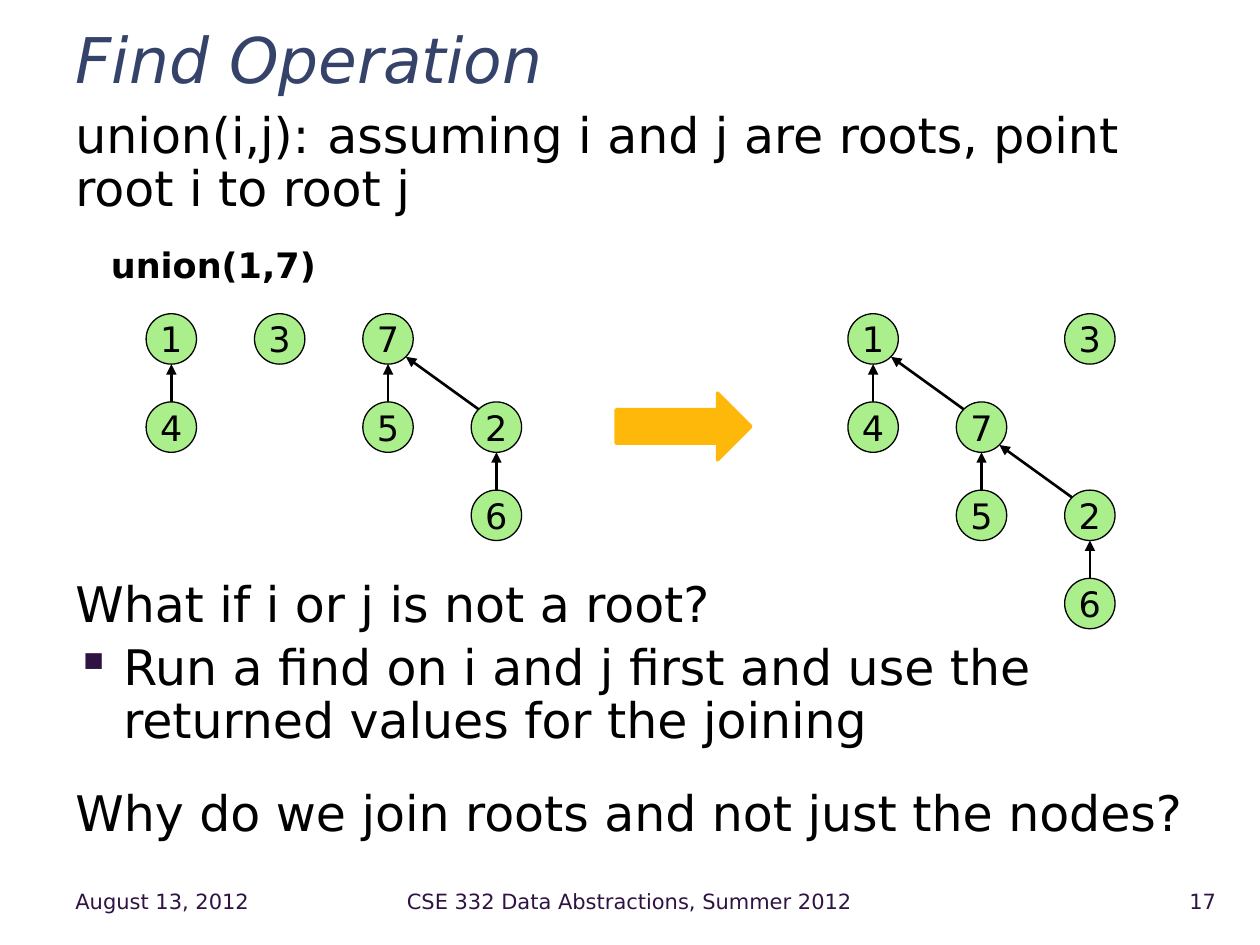
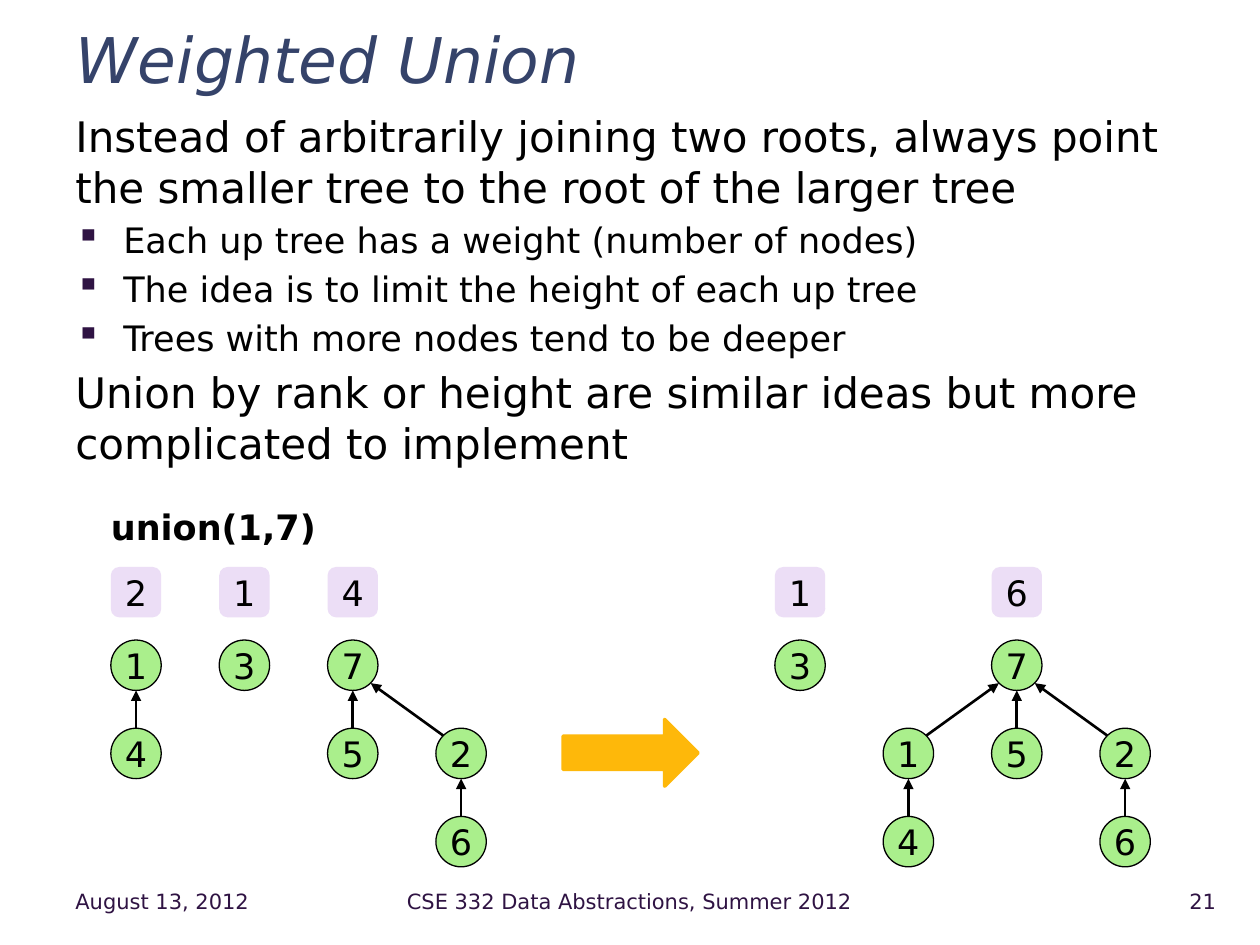
from lxml import etree
from pptx import Presentation
from pptx.dml.color import RGBColor
from pptx.enum.shapes import MSO_CONNECTOR, MSO_SHAPE
from pptx.enum.text import MSO_ANCHOR, MSO_AUTO_SIZE, PP_ALIGN
from pptx.oxml.ns import qn
from pptx.util import Inches, Pt

LEFT, CENTER, RIGHT = PP_ALIGN.LEFT, PP_ALIGN.CENTER, PP_ALIGN.RIGHT
TOP, MIDDLE = MSO_ANCHOR.TOP, MSO_ANCHOR.MIDDLE
OVAL, ROUNDED, ARROW = MSO_SHAPE.OVAL, MSO_SHAPE.ROUNDED_RECTANGLE, MSO_SHAPE.RIGHT_ARROW

FONT = "DejaVu Sans"
BLACK = RGBColor(0x00, 0x00, 0x00)
NAVY = RGBColor(0x35, 0x43, 0x6A)
PLUM = RGBColor(0x2F, 0x13, 0x43)
GREEN = RGBColor(0xAA, 0xEF, 0x8C)
LILAC = RGBColor(0xEC, 0xDE, 0xF6)
AMBER = RGBColor(0xFE, 0xB8, 0x0A)

# Content: body lines are (text, size, bulleted, space before)
# Forest nodes map a label to (column, row, parent); weights map a column to a count
DATE = "August 13, 2012"
COURSE = "CSE 332 Data Abstractions, Summer 2012"
CALL = "union(1,7)"
BEFORE = {"1": (0, 0, None), "4": (0, 1, "1"), "3": (1, 0, None), "7": (2, 0, None),
          "5": (2, 1, "7"), "2": (3, 1, "7"), "6": (3, 2, "2")}
SLIDES = [
    {
        "title": "Find Operation", "number": "17", "body_height": 6, "line_spacing": 0.9,
        "body": [
            ("union(i,j):\tassuming i and j are roots, point root i to root j", 28, False, 0),
            ("What if i or j is not a root?", 28, False, 208),
            ("Run a find on i and j first and use the returned values for the joining",
             28, True, 5.6),
            ("Why do we join roots and not just the nodes?", 28, False, 23),
        ],
        "call_top": 1.93, "roots_top": 2.49, "arrow_left": 4.89,
        "forests": [
            (1.16, BEFORE, {}),
            (6.73, {"1": (0, 0, None), "4": (0, 1, "1"), "3": (2, 0, None),
                    "7": (1, 1, "1"), "5": (1, 2, "7"), "2": (2, 2, "7"),
                    "6": (2, 3, "2")}, {}),
        ],
    },
    {
        "title": "Weighted Union", "number": "21", "body_height": 3.23, "line_spacing": 1.0,
        "body": [
            ("Instead of arbitrarily joining two roots, always point the smaller tree "
             "to the root of the larger tree", 24, False, 0),
            ("Each up tree has a weight (number of nodes)", 20, True, 4),
            ("The idea is to limit the height of each up tree", 20, True, 4),
            ("Trees with more nodes tend to be deeper", 20, True, 4),
            ("Union by rank or height are similar ideas but more complicated to implement",
             24, False, 4.8),
        ],
        "call_top": 4.01, "roots_top": 5.08, "arrow_left": 4.47,
        "forests": [
            (0.88, BEFORE, {0: "2", 1: "1", 2: "4"}),
            (6.15, {"3": (0, 0, None), "7": (2, 0, None), "1": (1, 1, "7"),
                    "4": (1, 2, "1"), "5": (2, 1, "7"), "2": (3, 1, "7"),
                    "6": (3, 2, "2")}, {0: "1", 2: "6"}),
        ],
    },
]

# Shared layout, in inches
NODE, COLUMN_STEP, ROW_STEP = 0.4, 0.86, 0.7
WEIGHT_RISE, ARROW_DROP = 0.58, 0.63
BODY_LEFT, BODY_TOP, BODY_WIDTH = 0.5, 0.83, 9.25
FOOTER_TOP, FOOTER_HEIGHT = 6.95, 0.4
HANG, TAB_STOP = 0.38, 2.0


def style(paragraph, size, color=BLACK, align=LEFT):
    paragraph.alignment = align
    for run in paragraph.runs:
        run.font.name, run.font.size = FONT, Pt(size)
        run.font.color.rgb = color


def add_text(slide, box, text, size, color=BLACK, align=LEFT, anchor=TOP):
    frame = slide.shapes.add_textbox(*map(Inches, box)).text_frame
    frame.word_wrap, frame.vertical_anchor = True, anchor
    frame.text = text
    style(frame.paragraphs[0], size, color, align)
    return frame


def add_title(slide, text):
    title = slide.shapes.title
    title.left, title.top = Inches(BODY_LEFT), Inches(0.17)
    title.width, title.height = Inches(BODY_WIDTH), Inches(0.53)
    frame = title.text_frame
    frame.text = text
    frame.auto_size, frame.vertical_anchor = MSO_AUTO_SIZE.NONE, MIDDLE
    heading = frame.paragraphs[0]
    heading.line_spacing = 1.1
    style(heading, 36, NAVY)
    heading.runs[0].font.italic = True


def add_bullet(paragraph):
    properties = paragraph._p.get_or_add_pPr()
    properties.set("marL", str(Inches(HANG)))
    properties.set("indent", str(-Inches(HANG)))
    color = etree.SubElement(properties, qn("a:buClr"))
    etree.SubElement(color, qn("a:srgbClr"), val=str(PLUM))
    etree.SubElement(properties, qn("a:buChar"), char="▪")


def add_tab_stop(paragraph):
    tabs = etree.SubElement(paragraph._p.get_or_add_pPr(), qn("a:tabLst"))
    etree.SubElement(tabs, qn("a:tab"), pos=str(Inches(TAB_STOP)), algn="l")


def add_body(slide, lines, height, line_spacing):
    box = (BODY_LEFT, BODY_TOP, BODY_WIDTH, height)
    frame = slide.shapes.add_textbox(*map(Inches, box)).text_frame
    frame.word_wrap = True
    for index, (text, size, bulleted, space) in enumerate(lines):
        line = frame.add_paragraph() if index else frame.paragraphs[0]
        line.text = text
        if bulleted:
            add_bullet(line)
        if "\t" in text:
            add_tab_stop(line)
        line.line_spacing = line_spacing
        if space:
            line.space_before = Pt(space)
        style(line, size)


def add_call(slide, top):
    frame = add_text(slide, (0.88, top, 1.7, 0.34), CALL, 20)
    frame.margin_left = frame.margin_right = frame.margin_top = frame.margin_bottom = 0
    frame.word_wrap = False
    frame.paragraphs[0].runs[0].font.bold = True


def add_figure(slide, kind, box, fill, line=None, line_width=0.75, label=""):
    figure = slide.shapes.add_shape(kind, *map(Inches, box))
    figure.shadow.inherit = False
    figure.fill.solid()
    figure.fill.fore_color.rgb = fill
    if line is None:
        figure.line.fill.background()
    else:
        figure.line.color.rgb = line
        figure.line.width = Pt(line_width)
    if label:
        frame = figure.text_frame
        frame.text = label
        frame.word_wrap, frame.vertical_anchor = False, MIDDLE
        style(frame.paragraphs[0], 20, align=CENTER)


def add_edge(slide, child, parent):
    """Point an arrow from the rim of the child to the rim of its parent."""
    (child_x, child_y), (parent_x, parent_y) = child, parent
    radius = NODE / 2
    if abs(child_x - parent_x) < 0.01:
        dx, dy = 0, radius
    else:
        dy = radius * 0.71
        dx = dy if child_x > parent_x else -dy
    ends = (child_x - dx, child_y - dy, parent_x + dx, parent_y + dy)
    edge = slide.shapes.add_connector(MSO_CONNECTOR.STRAIGHT, *map(Inches, ends))
    edge.line.color.rgb = BLACK
    edge.line.width = Pt(1.5)
    etree.SubElement(edge.line._get_or_add_ln(), qn("a:tailEnd"), type="triangle")
    etree.SubElement(edge._element.spPr, qn("a:effectLst"))


def add_forest(slide, left, top, nodes, weights):
    corners = {label: (left + column * COLUMN_STEP, top + row * ROW_STEP)
               for label, (column, row, _) in nodes.items()}
    centers = {label: (x + NODE / 2, y + NODE / 2) for label, (x, y) in corners.items()}
    for label, (_, _, parent) in nodes.items():
        if parent:
            add_edge(slide, centers[label], centers[parent])
    for label, corner in corners.items():
        add_figure(slide, OVAL, (*corner, NODE, NODE), GREEN, BLACK, label=label)
    for column, weight in weights.items():
        box = (left + column * COLUMN_STEP, top - WEIGHT_RISE, NODE, NODE)
        add_figure(slide, ROUNDED, box, LILAC, label=weight)


def add_footer(slide, number):
    for left, width, text, align in ((0.5, 1.75, DATE, LEFT),
                                     (2.32, 5.35, COURSE, CENTER),
                                     (8.89, 0.86, number, RIGHT)):
        box = (left, FOOTER_TOP, width, FOOTER_HEIGHT)
        add_text(slide, box, text, 12, PLUM, align, MIDDLE)


def main():
    deck = Presentation()
    deck.slide_width, deck.slide_height = Inches(10), Inches(7.5)
    title_only = deck.slide_layouts[5]
    for content in SLIDES:
        slide = deck.slides.add_slide(title_only)
        add_title(slide, content["title"])
        add_body(slide, content["body"], content["body_height"], content["line_spacing"])
        add_call(slide, content["call_top"])
        add_footer(slide, content["number"])
        # Forests before and after the union, with the arrow between them
        for left, nodes, weights in content["forests"]:
            add_forest(slide, left, content["roots_top"], nodes, weights)
        arrow_box = (content["arrow_left"], content["roots_top"] + ARROW_DROP, 1.07, 0.53)
        add_figure(slide, ARROW, arrow_box, AMBER, AMBER, 2)
    deck.save("out.pptx")


if __name__ == "__main__":
    main()
